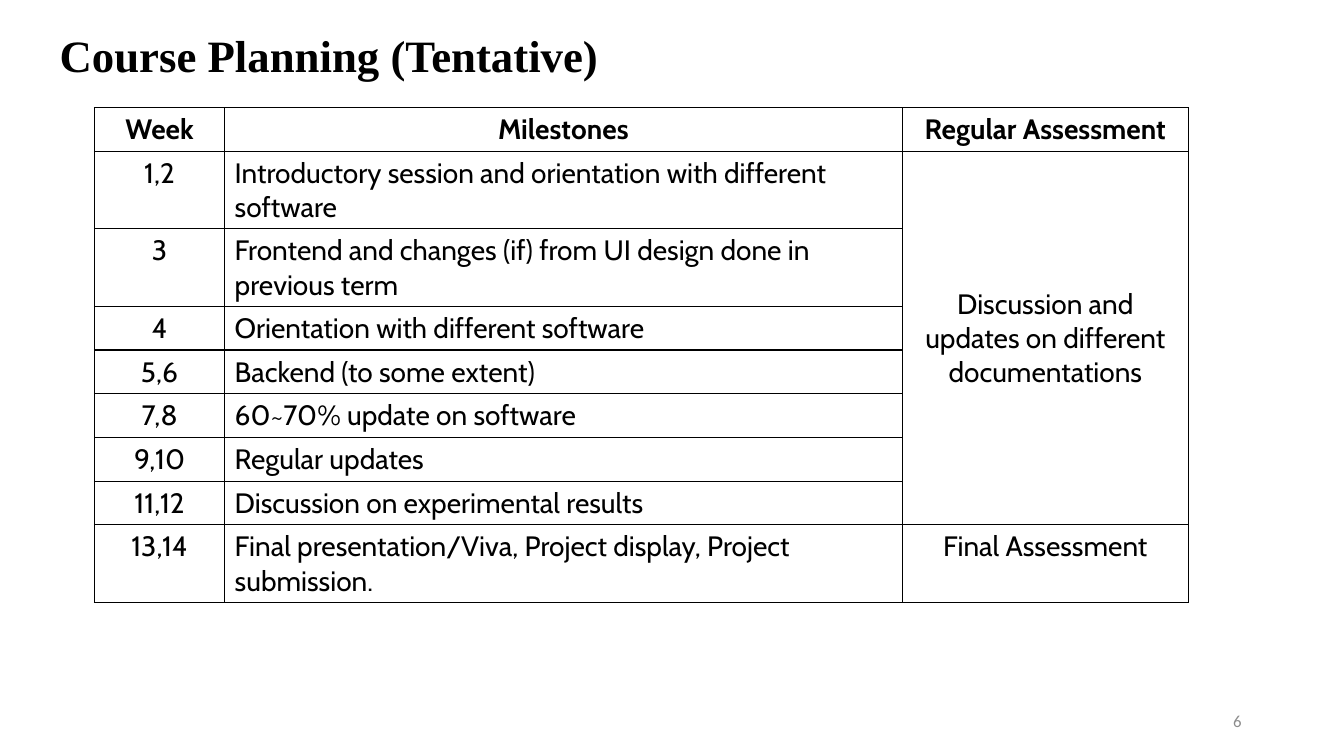
from dataclasses import dataclass

from lxml import etree
from pptx import Presentation
from pptx import util as u
from pptx.dml.color import RGBColor
from pptx.enum import text
from pptx.oxml import ns

LEFT, CENTER, RIGHT = text.PP_ALIGN.LEFT, text.PP_ALIGN.CENTER, text.PP_ALIGN.RIGHT
TOP, MIDDLE = text.MSO_ANCHOR.TOP, text.MSO_ANCHOR.MIDDLE


@dataclass(frozen=True)
class Theme:
    ink: str = "000000"
    muted: str = "8C8C8C"
    title_font: str = "Times New Roman"
    table_font: str = "Cabin"
    number_font: str = "Calibri"
    title_size: int = 32
    table_size: int = 20
    number_size: int = 12
    border: int = 1


class PageBuilder:
    def __init__(self, deck, theme):
        self.theme = theme
        self.page = deck.slides.add_slide(deck.slide_layouts[6])

    def set_text(self, frame, words, color, align=LEFT, spacing=None, **font):
        para = frame.paragraphs[0]
        para.alignment = align
        para.line_spacing = spacing
        span = para.add_run()
        span.text = words
        for name, value in font.items():
            setattr(span.font, name, value)
        span.font.color.rgb = RGBColor.from_string(color)

    def label(self, area, words, color, **style):
        box = self.page.shapes.add_textbox(*map(u.Pt, area))
        frame = box.text_frame
        frame.word_wrap = True
        frame.vertical_anchor = MIDDLE
        self.set_text(frame, words, color, **style)

    def outline(self, cell):
        properties = cell._tc.get_or_add_tcPr()
        for position, side in enumerate(("lnL", "lnR", "lnT", "lnB")):
            line = etree.Element(ns.qn(f"a:{side}"), w=str(u.Pt(self.theme.border)))
            fill = etree.SubElement(line, ns.qn("a:solidFill"))
            etree.SubElement(fill, ns.qn("a:srgbClr"), val=self.theme.ink)
            properties.insert(position, line)

    def table(self, left, top, widths, row_height, rows, merged):
        size = (sum(widths), row_height * len(rows))
        shape = self.page.shapes.add_table(
            len(rows), len(widths), *map(u.Pt, (left, top, *size)))
        grid = shape.table
        grid.first_row = grid.horz_banding = False
        for column, width in zip(grid.columns, widths):
            column.width = u.Pt(width)
        for row in grid.rows:
            row.height = u.Pt(row_height)
        first, last = merged
        grid.cell(*first).merge(grid.cell(*last))
        for row, values in enumerate(rows):
            for column, words in enumerate(values):
                cell = grid.cell(row, column)
                cell.fill.background()
                self.outline(cell)
                cell.vertical_anchor = MIDDLE if (row, column) == first else TOP
                if words:
                    align = LEFT if row and column == 1 else CENTER
                    self.set_text(cell.text_frame, words, self.theme.ink, align,
                                  name=self.theme.table_font,
                                  size=u.Pt(self.theme.table_size), bold=row == 0)


SCHEDULE = [
    ("Week", "Milestones", "Regular Assessment"),
    ("1,2", "Introductory session and orientation with different software",
     "Discussion and updates on different documentations"),
    ("3", "Frontend and changes (if) from UI design done in previous term", ""),
    ("4", "Orientation with different software", ""),
    ("5,6", "Backend (to some extent)", ""),
    ("7,8", "60~70% update on software", ""),
    ("9,10", "Regular updates", ""),
    ("11,12", "Discussion on experimental results", ""),
    ("13,14", "Final presentation/Viva, Project display, Project submission.",
     "Final Assessment"),
]


def main():
    deck = Presentation()
    deck.slide_width, deck.slide_height = u.Pt(960), u.Pt(540)
    theme = Theme()
    builder = PageBuilder(deck, theme)
    builder.label((35.5, 6.5, 828, 70), "Course Planning (Tentative)", theme.ink,
                  spacing=0.9, name=theme.title_font,
                  size=u.Pt(theme.title_size), bold=True)
    builder.label((678, 500.5, 216, 28.8), "6", theme.muted, align=RIGHT,
                  name=theme.number_font, size=u.Pt(theme.number_size))
    builder.table(67.5, 77, (93, 484, 204.5), 29.5, SCHEDULE,
                  merged=((1, 2), (7, 2)))
    deck.save("out.pptx")


if __name__ == "__main__":
    main()
